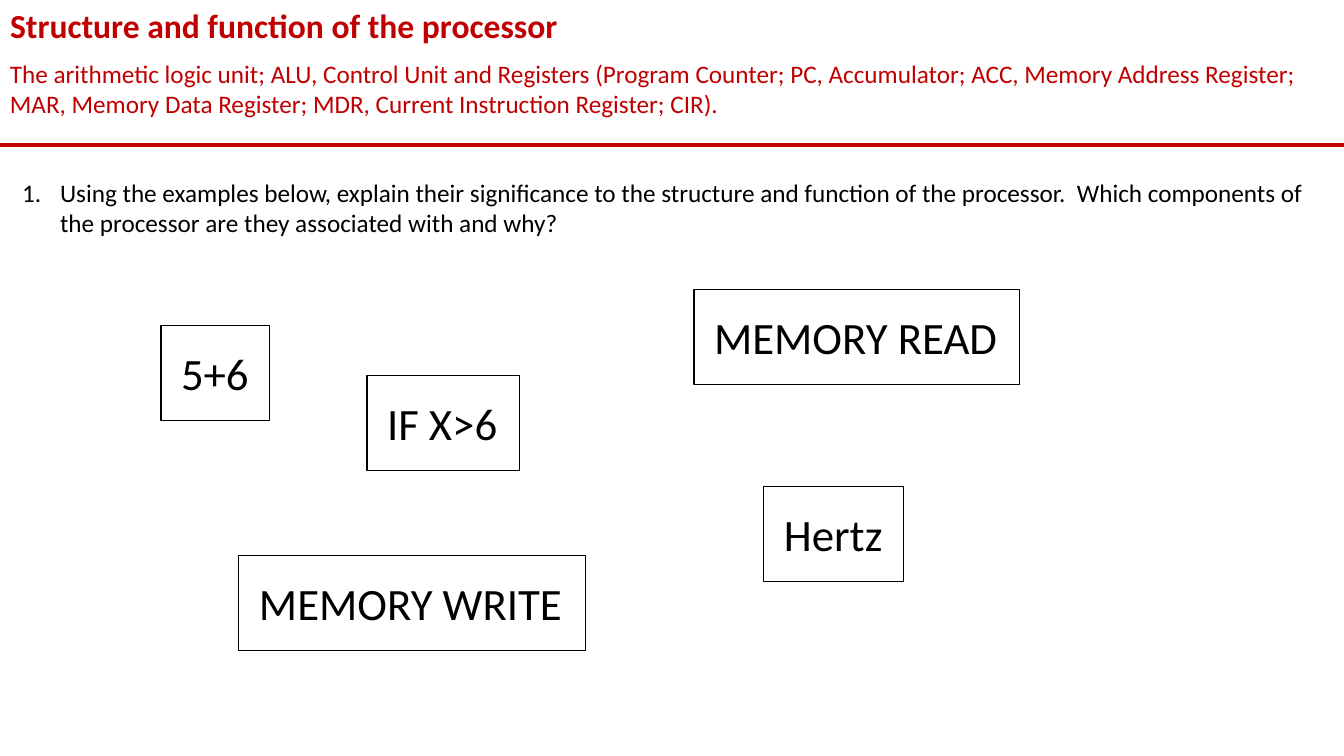
import pptx
import pptx.dml.color
import pptx.enum.shapes
import pptx.enum.text
import pptx.oxml
import pptx.oxml.ns
import pptx.util

# Content
HEADING = "Structure and function of the processor"
TOPICS = ("The arithmetic logic unit; ALU, Control Unit and Registers (Program Counter; PC, "
          "Accumulator; ACC, Memory Address Register; MAR, Memory Data Register; MDR, "
          "Current Instruction Register; CIR).")
QUESTION = ("Using the examples below, explain their significance to the structure and function "
            "of the processor.  Which components of the processor are they associated with and why?")
EXAMPLES = [  # text, left, top, width in px
    ("5+6", 161, 326, 109),
    ("IF X>6", 367, 376, 153),
    ("MEMORY READ", 694, 290, 326),
    ("MEMORY WRITE", 239, 556, 347),
    ("Hertz", 764, 487, 140),
]

# Layout and formats
SLIDE_WIDTH, SLIDE_HEIGHT = 1344, 756
RULE_TOP, EXAMPLE_HEIGHT, EXAMPLE_INSET, NUMBER_INDENT = 145, 95, 20, 38
RED, BLACK = "C00000", "000000"
HEADING_FONT = {"name": "Calibri", "size": pptx.util.Pt(24), "bold": True}
BODY_FONT = {"name": "Calibri", "size": pptx.util.Pt(18), "bold": False}
EXAMPLE_FONT = {"name": "Calibri", "size": pptx.util.Pt(32), "bold": False}
WRAPPED = {"word_wrap": True,
           "auto_size": pptx.enum.text.MSO_AUTO_SIZE.NONE,
           "vertical_anchor": pptx.enum.text.MSO_ANCHOR.TOP}
UNWRAPPED = {**WRAPPED, "word_wrap": False}
PARAGRAPH = {"alignment": pptx.enum.text.PP_ALIGN.LEFT, "space_before": pptx.util.Pt(0)}


def px(length):
    return pptx.util.Emu(round(length * 914400 / 100.8))


def colour(value):
    return pptx.dml.color.RGBColor.from_string(value)


def apply(target, values):
    for name, value in values.items():
        setattr(target, name, value)


def place(shape, left, top, width, height):
    apply(shape, {"left": px(left), "top": px(top), "width": px(width), "height": px(height)})


def write(shape, text, font, text_colour, frame=WRAPPED):
    apply(shape.text_frame, frame)
    paragraph = shape.text_frame.paragraphs[0]
    apply(paragraph, PARAGRAPH)
    run = paragraph.add_run()
    run.text = text
    apply(run.font, font)
    run.font.color.rgb = colour(text_colour)
    return paragraph


deck = pptx.Presentation()
deck.slide_width, deck.slide_height = px(SLIDE_WIDTH), px(SLIDE_HEIGHT)
slide = deck.slides.add_slide(deck.slide_layouts.get_by_name("Title and Content"))

# Rule under the header
rule = slide.shapes.add_connector(pptx.enum.shapes.MSO_CONNECTOR.STRAIGHT,
                                  0, px(RULE_TOP), px(SLIDE_WIDTH), px(RULE_TOP))
rule.line.color.rgb = colour(RED)
rule.line.width = pptx.util.Pt(2.25)
pptx.oxml.ns.qn("a:effectLst")
rule_properties = rule._element.spPr
rule_properties.append(pptx.oxml.parse_xml(
    f"<a:effectLst {pptx.oxml.ns.nsdecls('a')}/>"))

# Header
heading = slide.shapes.title
place(heading, 0, 0, SLIDE_WIDTH, 50)
write(heading, HEADING, HEADING_FONT, RED)
topics = slide.shapes.add_textbox(0, px(53), px(SLIDE_WIDTH), px(72))
write(topics, TOPICS, BODY_FONT, RED)

# Numbered question
question = slide.placeholders[1]
place(question, 12, 172, 1304, 72)
numbered = write(question, QUESTION, BODY_FONT, BLACK)._p.get_or_add_pPr()
numbered.set("marL", str(px(NUMBER_INDENT)))
numbered.set("indent", str(-px(NUMBER_INDENT)))
for bullet in ('<a:buFont {} typeface="+mj-lt"/>', '<a:buAutoNum {} type="arabicPeriod"/>'):
    numbered.append(pptx.oxml.parse_xml(bullet.format(pptx.oxml.ns.nsdecls("a"))))

# Boxed examples
for text, left, top, width in EXAMPLES:
    example = slide.shapes.add_shape(pptx.enum.shapes.MSO_SHAPE.RECTANGLE,
                                     px(left), px(top), px(width), px(EXAMPLE_HEIGHT))
    example.shadow.inherit = False
    example.fill.background()
    example.line.color.rgb = colour(BLACK)
    example.line.width = pptx.util.Pt(0.75)
    apply(example.text_frame, {f"margin_{side}": px(EXAMPLE_INSET)
                               for side in ("left", "top", "right", "bottom")})
    write(example, text, EXAMPLE_FONT, BLACK, UNWRAPPED)

deck.save("out.pptx")
